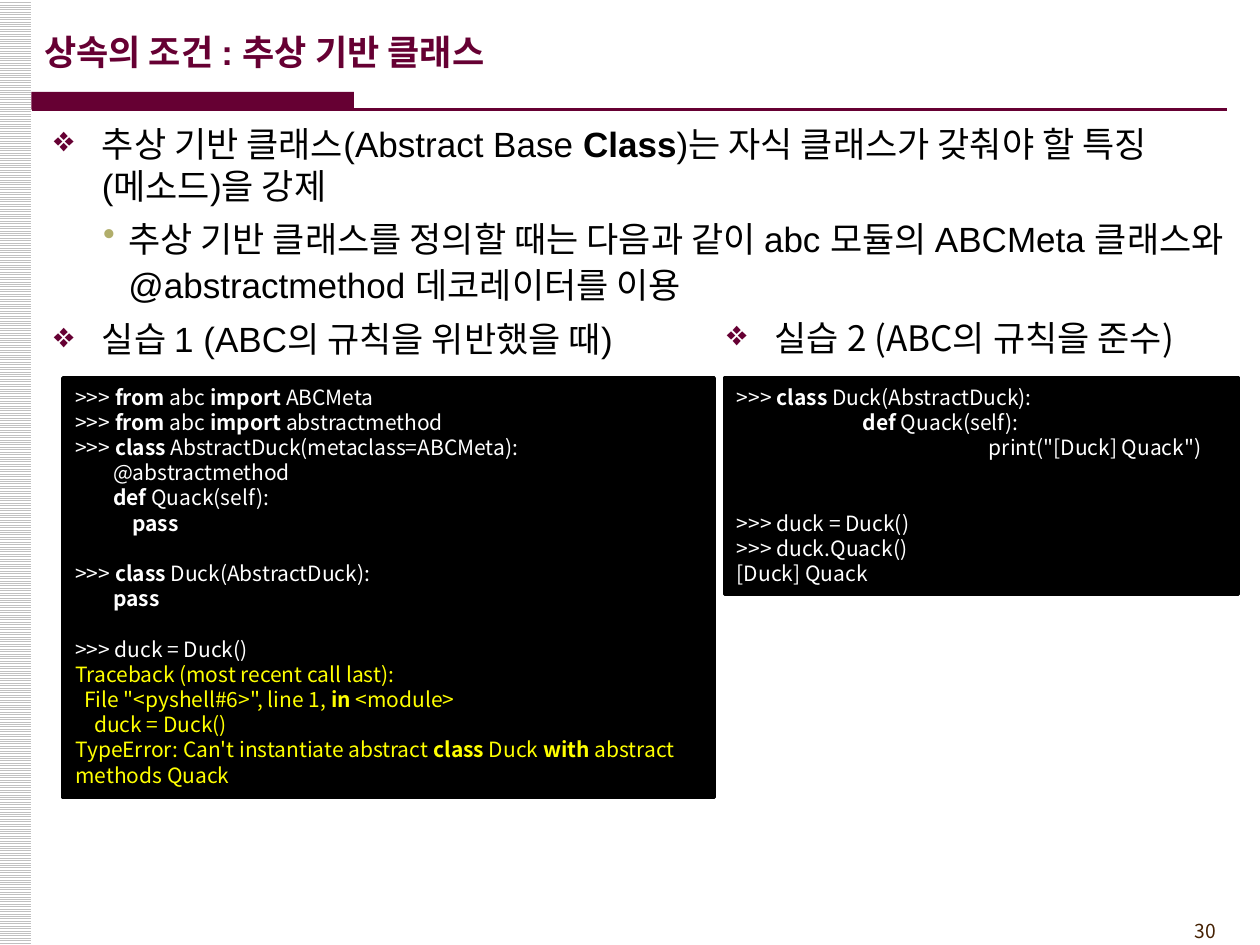
"""Builds the slide on abstract base classes with two code samples."""
from dataclasses import dataclass

from lxml import etree
from pptx import Presentation
from pptx.dml.color import RGBColor
from pptx.enum import dml, shapes, text
from pptx.oxml import ns
from pptx.util import Inches, Pt

WINE = RGBColor(0x66, 0x00, 0x33)
OLIVE = RGBColor(0xB1, 0xAE, 0x6B)
BROWN = RGBColor(0x45, 0x21, 0x03)
SILVER = RGBColor(0xC0, 0xC0, 0xC0)
BLACK = RGBColor(0x00, 0x00, 0x00)
WHITE = RGBColor(0xFF, 0xFF, 0xFF)
YELLOW = RGBColor(0xFF, 0xFF, 0x00)
LATIN = "Arial"
KOREAN = "Noto Sans CJK KR"
CODE_LINE = 14.4


@dataclass
class Bullet:
    text: str
    char: str = "❖"
    color: RGBColor = WINE
    margin: float = 0.38
    hang: float = 0.38
    line: float = 24
    after: float = 0


@dataclass
class Code:
    text: str
    indent: float = 0
    color: RGBColor = WHITE
    gap: int = 0


@dataclass
class Panel:
    left: float
    width: float
    height: float
    lines: list[Code]


TOPICS = [
    Bullet("추상 기반 클래스(Abstract Base **Class**)는 자식 클래스가 갖춰야 할 특징(메소드)을 강제"),
    Bullet("추상 기반 클래스를 정의할 때는 다음과 같이 abc 모듈의 ABCMeta 클래스와 "
           "@abstractmethod 데코레이터를 이용", "•", OLIVE, 0.59, 0.2, 26.4, 3),
    Bullet("실습 1 (ABC의 규칙을 위반했을 때)"),
]
SECOND_TOPIC = Bullet("실습 2 (ABC의 규칙을 준수)")

PANELS = [
    Panel(0.5, 5.17, 3.33, [
        Code(">>> **from** abc **import** ABCMeta"),
        Code(">>> **from** abc **import** abstractmethod"),
        Code(">>> **class** AbstractDuck(metaclass=ABCMeta):"),
        Code("@abstractmethod", 0.3),
        Code("**def** Quack(self):", 0.3),
        Code("**pass**", 0.45),
        Code(">>> **class** Duck(AbstractDuck):", gap=1),
        Code("**pass**", 0.3),
        Code(">>> duck = Duck()", gap=1),
        Code("Traceback (most recent call last):", color=YELLOW),
        Code('File "<pyshell#6>", line 1, **in** <module>', 0.07, YELLOW),
        Code("duck = Duck()", 0.15, YELLOW),
        Code("TypeError: Can't instantiate abstract **class** Duck **with** "
             "abstract methods Quack", color=YELLOW),
    ]),
    Panel(5.75, 4.08, 1.72, [
        Code(">>> **class** Duck(AbstractDuck):"),
        Code("**def** Quack(self):", 1),
        Code('print("[Duck] Quack")', 2),
        Code(">>> duck = Duck()", gap=2),
        Code(">>> duck.Quack()"),
        Code("[Duck] Quack"),
    ]),
]


def add_runs(p, marked: str, size: float, color: RGBColor, font: str, bold=False) -> None:
    """Adds runs, with the parts between double asterisks in bold."""
    for i, part in enumerate(marked.split("**")):
        if part:
            r = p.add_run()
            r.text = part
            r.font.size, r.font.name = Pt(size), font
            r.font.bold = bold or i % 2 == 1
            r.font.color.rgb = color
            ea = etree.SubElement(r.font._element, ns.qn("a:ea"))
            ea.set("typeface", KOREAN)


def paragraphs(tf, items: list):
    """Yields each item with its own paragraph."""
    for i, item in enumerate(items):
        yield item, tf.add_paragraph() if i else tf.paragraphs[0]


def set_indent(p, margin: float, first: float = 0):
    """Sets the left margin and first-line indent, and returns the properties."""
    pPr = p._p.get_or_add_pPr()
    pPr.set("marL", str(Inches(margin)))
    pPr.set("indent", str(Inches(first)))
    return pPr


def add_text(s, left: float, top: float, width: float, height: float):
    """Adds a wrapping text box and returns its frame."""
    tf = s.shapes.add_textbox(*map(Inches, (left, top, width, height))).text_frame
    tf.word_wrap = True
    return tf


def add_bullets(tf, bullets: list[Bullet], font: str) -> None:
    """Fills a frame with bulleted paragraphs."""
    for b, p in paragraphs(tf, bullets):
        p.line_spacing, p.space_before, p.space_after = Pt(b.line), Pt(4), Pt(b.after)
        pPr = set_indent(p, b.margin, -b.hang)
        clr = etree.SubElement(pPr, ns.qn("a:buClr"))
        etree.SubElement(clr, ns.qn("a:srgbClr")).set("val", str(b.color))
        etree.SubElement(pPr, ns.qn("a:buChar")).set("char", b.char)
        add_runs(p, b.text, 20, BLACK, font)


def add_rect(s, left: float, top: float, width: float, height: float, color: RGBColor):
    """Adds a plain filled rectangle without an outline."""
    sp = s.shapes.add_shape(shapes.MSO_SHAPE.RECTANGLE,
                            *map(Inches, (left, top, width, height)))
    sp.shadow.inherit = False
    sp.fill.solid()
    sp.fill.fore_color.rgb = color
    sp.line.fill.background()
    return sp


def add_panel(s, panel: Panel) -> None:
    """Adds a black panel of code."""
    sp = add_rect(s, panel.left, 3, panel.width, panel.height, BLACK)
    sp.line.color.rgb, sp.line.width = BLACK, Pt(2)
    tf = sp.text_frame
    tf.word_wrap, tf.vertical_anchor = True, text.MSO_ANCHOR.TOP
    for code, p in paragraphs(tf, panel.lines):
        p.alignment = text.PP_ALIGN.LEFT
        p.line_spacing, p.space_before = Pt(CODE_LINE), Pt(code.gap * CODE_LINE)
        set_indent(p, code.indent)
        add_runs(p, code.text, 12, code.color, KOREAN)


def add_frame(s) -> None:
    """Adds the side strip, the title rule and the page number."""
    strip = add_rect(s, -0.01, 0, 0.26, 7.5, WHITE)
    strip.fill.patterned()
    strip.fill.pattern = dml.MSO_PATTERN.LIGHT_HORIZONTAL
    strip.fill.fore_color.rgb, strip.fill.back_color.rgb = SILVER, WHITE
    add_rect(s, 0.25, 0.73, 2.56, 0.14, WINE)
    rule = s.shapes.add_connector(shapes.MSO_CONNECTOR.STRAIGHT,
                                  *map(Inches, (0.25, 0.87, 9.74, 0.87)))
    rule.line.color.rgb, rule.line.width = WINE, Pt(1.5)
    etree.SubElement(rule._element.spPr, ns.qn("a:effectLst"))
    p = add_text(s, 8.92, 7.25, 0.83, 0.29).paragraphs[0]
    p.alignment = text.PP_ALIGN.RIGHT
    add_runs(p, "30", 11, BROWN, KOREAN)


def add_title(s) -> None:
    """Places and fills the title placeholder."""
    sp = s.shapes.title
    sp.left, sp.top, sp.width, sp.height = map(Inches, (0.25, 0.09, 8.27, 0.63))
    sp.text_frame.vertical_anchor = text.MSO_ANCHOR.MIDDLE
    p = sp.text_frame.paragraphs[0]
    p.alignment = text.PP_ALIGN.LEFT
    add_runs(p, "상속의 조건 : 추상 기반 클래스", 20, WINE, LATIN, bold=True)


def main() -> None:
    """Builds and saves the slide."""
    prs = Presentation()
    prs.slide_width, prs.slide_height = Inches(10), Inches(7.5)
    s = prs.slides.add_slide(prs.slide_layouts[5])
    add_frame(s)
    add_title(s)
    add_bullets(add_text(s, 0.33, 0.92, 9.5, 6.25), TOPICS, LATIN)
    for panel in PANELS:
        add_panel(s, panel)
    add_bullets(add_text(s, 5.67, 2.46, 4.3, 0.44), [SECOND_TOPIC], KOREAN)
    prs.save("out.pptx")


if __name__ == "__main__":
    main()
